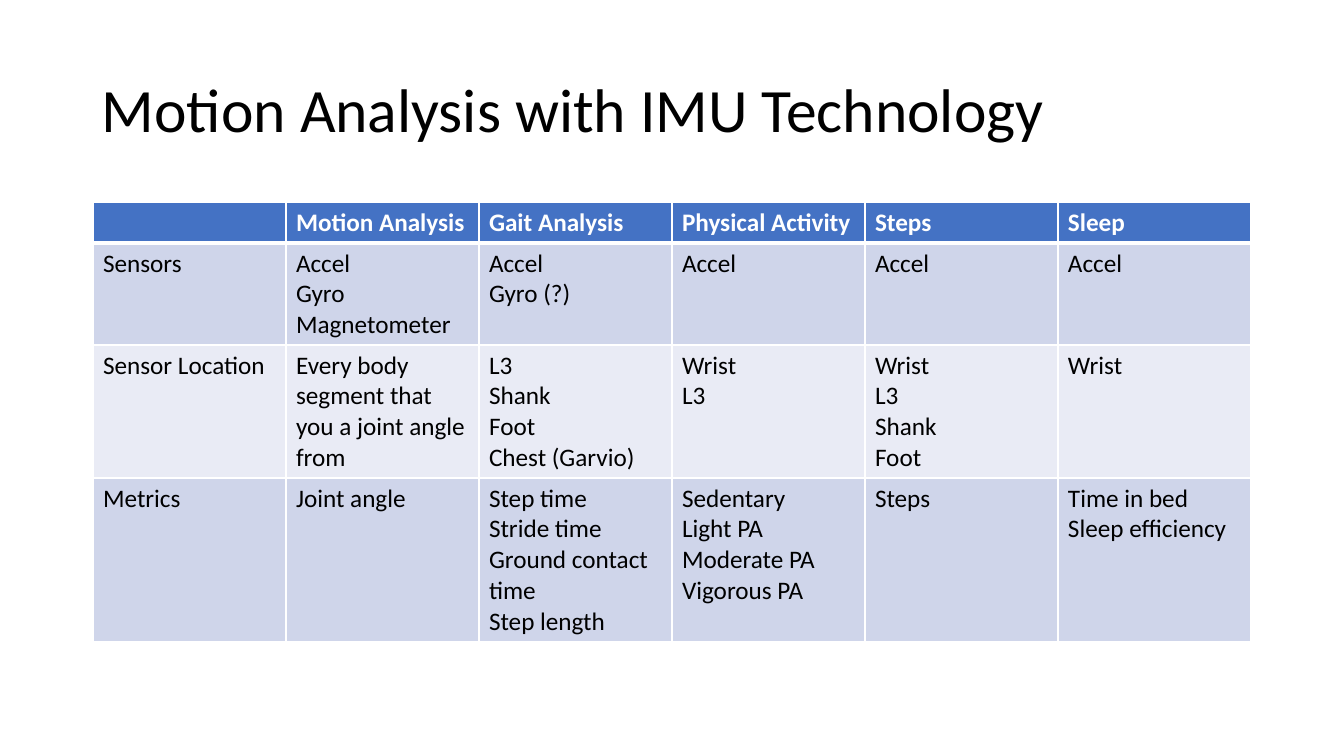
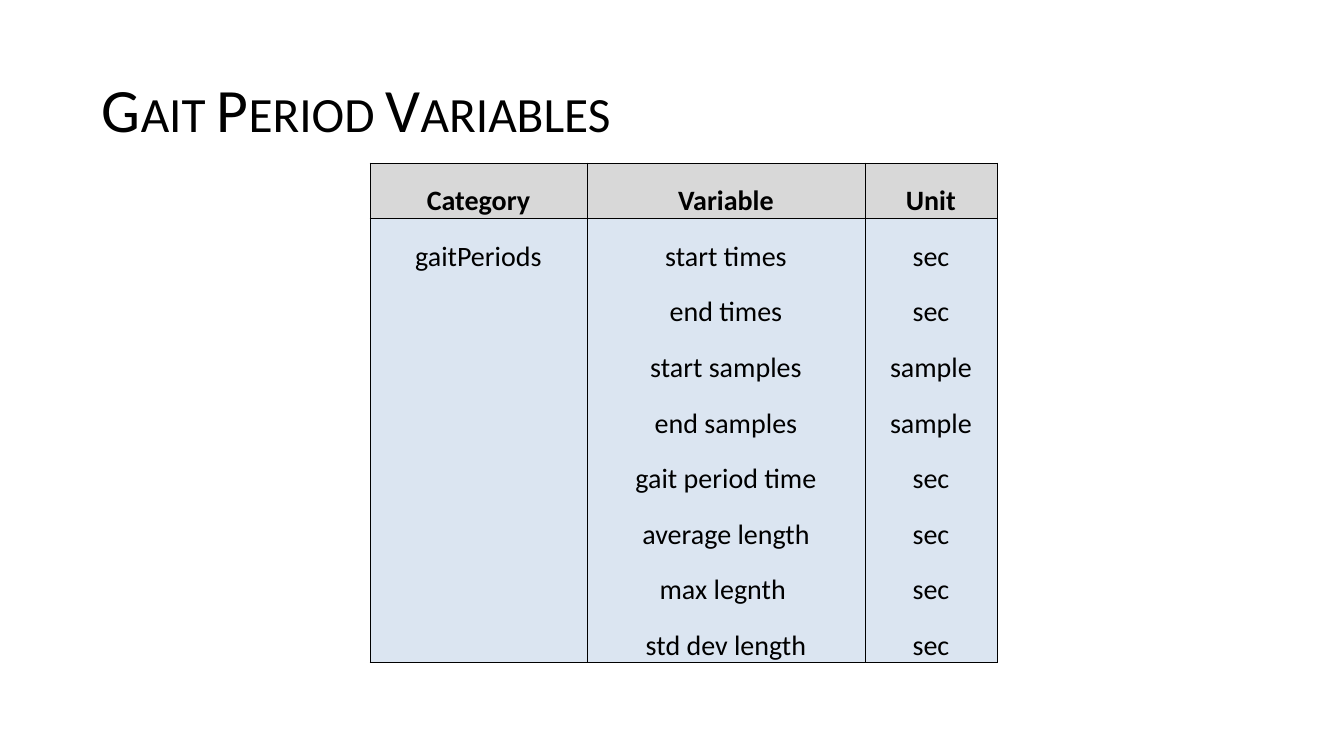
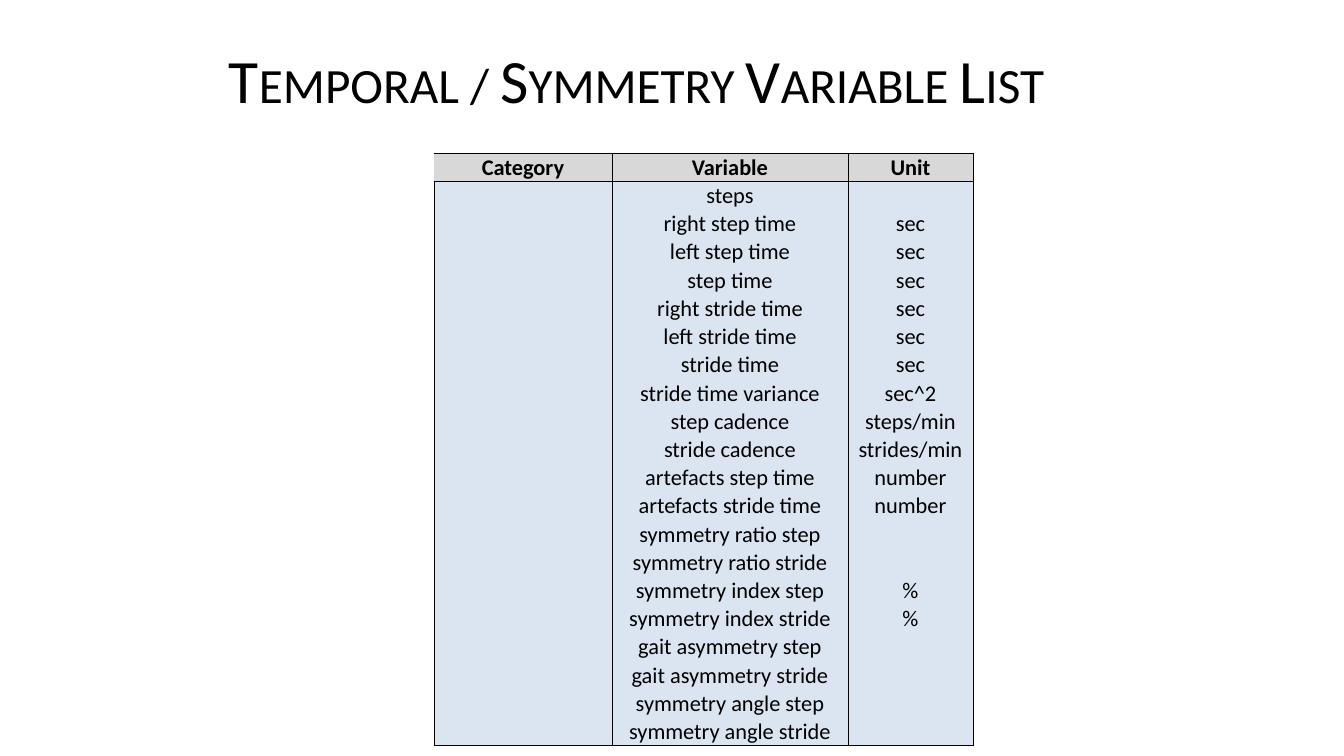
from dataclasses import dataclass

from lxml.etree import SubElement
from pptx import Presentation
from pptx.dml.color import RGBColor
from pptx.enum.text import MSO_ANCHOR, PP_ALIGN
from pptx.oxml.ns import qn
from pptx.slide import Slide
from pptx.table import _Cell as Cell
from pptx.util import Emu, Pt

EMU_PER_PX = 914400 / 100.8
FONT = "Calibri"
COLORS = {
    "black": "000000",
    "white": "FFFFFF",
    "blue": "4472C4",
    "band_dark": "CFD5EA",
    "band_light": "E9EBF5",
    "gray": "D8D8D8",
    "pale_blue": "DBE5F1",
}


@dataclass(frozen=True)
class Title:
    text: str
    left: int = 92
    top: int = 40
    width: int = 1160
    height: int = 146
    small_caps: bool = True


@dataclass(frozen=True)
class TableStyle:
    header_fill: str
    header_text: str
    body_fills: tuple[str, ...]
    line: str
    line_pt: float
    header_line_pt: float
    row_lines: bool
    compact: bool


@dataclass(frozen=True)
class Grid:
    style: TableStyle
    left: int
    top: int
    col_widths: list[int]
    row_heights: list[float]
    size: int
    rows: list[tuple[str, ...]]
    header_left_line: bool = True


BANDED = TableStyle("blue", "white", ("band_dark", "band_light"), "white", 1, 3, True, False)
VARIABLES = TableStyle("gray", "black", ("pale_blue",), "black", 0.5, 0.5, False, True)
VARIABLE_HEADER = ("Category", "Variable", "Unit")

IMU_ROWS = [
    ("", "Motion Analysis", "Gait Analysis", "Physical Activity", "Steps", "Sleep"),
    ("Sensors", "Accel\nGyro\nMagnetometer", "Accel\nGyro (?)", "Accel", "Accel", "Accel"),
    ("Sensor Location", "Every body segment that you a joint angle from",
     "L3\nShank\nFoot\nChest (Garvio)", "Wrist\nL3", "Wrist\nL3\nShank\nFoot", "Wrist"),
    ("Metrics", "Joint angle", "Step time\nStride time\nGround contact time\nStep length",
     "Sedentary\nLight PA\nModerate PA\nVigorous PA", "Steps", "Time in bed\nSleep efficiency"),
]
GAIT_ROWS = [
    VARIABLE_HEADER,
    ("gaitPeriods", "start times", "sec"),
    ("", "end times", "sec"),
    ("", "start samples", "sample"),
    ("", "end samples", "sample"),
    ("", "gait period time", "sec"),
    ("", "average length", "sec"),
    ("", "max legnth ", "sec"),
    ("", "std dev length", "sec"),
]
TEMPORAL_ROWS = [
    VARIABLE_HEADER,
    ("", "steps", ""),
    ("", "right step time", "sec"),
    ("", "left step time", "sec"),
    ("", "step time", "sec"),
    ("", "right stride time", "sec"),
    ("", "left stride time", "sec"),
    ("", "stride time", "sec"),
    ("", "stride time variance", "sec^2"),
    ("", "step cadence", "steps/min"),
    ("", "stride cadence", "strides/min"),
    ("", "artefacts step time", "number"),
    ("", "artefacts stride time", "number"),
    ("", "symmetry ratio step", ""),
    ("", "symmetry ratio stride", ""),
    ("", "symmetry index step", "%"),
    ("", "symmetry index stride", "%"),
    ("", "gait asymmetry step", ""),
    ("", "gait asymmetry stride", ""),
    ("", "symmetry angle step", ""),
    ("", "symmetry angle stride", ""),
]


def equal_rows(height: int, rows: list[tuple[str, ...]]) -> list[float]:
    return [height / len(rows)] * len(rows)


SLIDES = [
    (Title("Motion Analysis with IMU Technology", small_caps=False),
     Grid(BANDED, 93, 202, [193] * 6, [41, 102, 133, 164], 18, IMU_ROWS)),
    (Title("Gait Period Variables"),
     Grid(VARIABLES, 370, 163, [217, 278, 132], equal_rows(500, GAIT_ROWS), 20, GAIT_ROWS)),
    (Title("Temporal / Symmetry Variable List", 219, 21, 907, 126),
     Grid(VARIABLES, 434, 153, [178, 236, 125], equal_rows(593, TEMPORAL_ROWS), 16,
          TEMPORAL_ROWS, header_left_line=False)),
]


def px(value: float) -> Emu:
    return Emu(round(value * EMU_PER_PX))


def rgb(name: str) -> RGBColor:
    return RGBColor.from_string(COLORS[name])


def add_title(s: Slide, title: Title) -> None:
    box = s.shapes.add_textbox(px(title.left), px(title.top), px(title.width), px(title.height))
    tf = box.text_frame
    tf.word_wrap = True
    tf.vertical_anchor = MSO_ANCHOR.MIDDLE
    tf.text = title.text
    p = tf.paragraphs[0]
    p.line_spacing = 0.9
    font = p.runs[0].font
    font.name, font.size = FONT, Pt(44)
    font.color.rgb = rgb("black")
    if title.small_caps:
        p.runs[0]._r.get_or_add_rPr().set("cap", "small")


def set_borders(cell: Cell, color: str, widths: dict[str, float]) -> None:
    tc_pr = cell._tc.get_or_add_tcPr()
    for side in "LRTB":
        width = widths[side]
        ln = SubElement(tc_pr, qn(f"a:ln{side}"), w=str(Pt(width)))
        if width:
            fill = SubElement(ln, qn("a:solidFill"))
            SubElement(fill, qn("a:srgbClr"), val=COLORS[color])
        else:
            SubElement(ln, qn("a:noFill"))


def border_widths(grid: Grid, row: int, col: int) -> dict[str, float]:
    style = grid.style
    inner = style.line_pt if style.row_lines else 0
    last = len(grid.rows) - 1
    return {
        "L": style.line_pt if row or col or grid.header_left_line else 0,
        "R": style.line_pt,
        "T": {0: style.line_pt, 1: style.header_line_pt}.get(row, inner),
        "B": {0: style.header_line_pt, last: style.line_pt}.get(row, inner),
    }


def fill_cell(cell: Cell, text: str, grid: Grid, header: bool, fill: str) -> None:
    style = grid.style
    cell.fill.solid()
    cell.fill.fore_color.rgb = rgb(fill)
    if style.compact:
        cell.margin_left = cell.margin_right = cell.margin_top = px(1)
        cell.margin_bottom = 0
        cell.vertical_anchor = MSO_ANCHOR.BOTTOM
    cell.text_frame.text = text
    for p in cell.text_frame.paragraphs:
        if style.compact:
            p.alignment = PP_ALIGN.CENTER
        if not p.runs:
            p._p.get_or_add_endParaRPr().set("sz", str(grid.size * 100))
        for r in p.runs:
            r.font.name, r.font.size, r.font.bold = FONT, Pt(grid.size), header
            r.font.color.rgb = rgb(style.header_text if header else "black")


def add_grid(s: Slide, grid: Grid) -> None:
    frame = s.shapes.add_table(len(grid.rows), len(grid.col_widths), px(grid.left), px(grid.top),
                               px(sum(grid.col_widths)), px(sum(grid.row_heights)))
    table = frame.table
    table.first_row = table.horz_banding = False
    for column, width in zip(table.columns, grid.col_widths):
        column.width = px(width)
    fills = grid.style.body_fills
    for i, (row, height) in enumerate(zip(grid.rows, grid.row_heights)):
        table.rows[i].height = px(height)
        fill = fills[(i - 1) % len(fills)] if i else grid.style.header_fill
        for j, text in enumerate(row):
            cell = table.cell(i, j)
            set_borders(cell, grid.style.line, border_widths(grid, i, j))
            fill_cell(cell, text, grid, i == 0, fill)


def main() -> None:
    prs = Presentation()
    prs.slide_width, prs.slide_height = px(1344), px(756)
    for title, grid in SLIDES:
        s = prs.slides.add_slide(prs.slide_layouts[6])
        add_title(s, title)
        add_grid(s, grid)
    prs.save("out.pptx")


if __name__ == "__main__":
    main()
